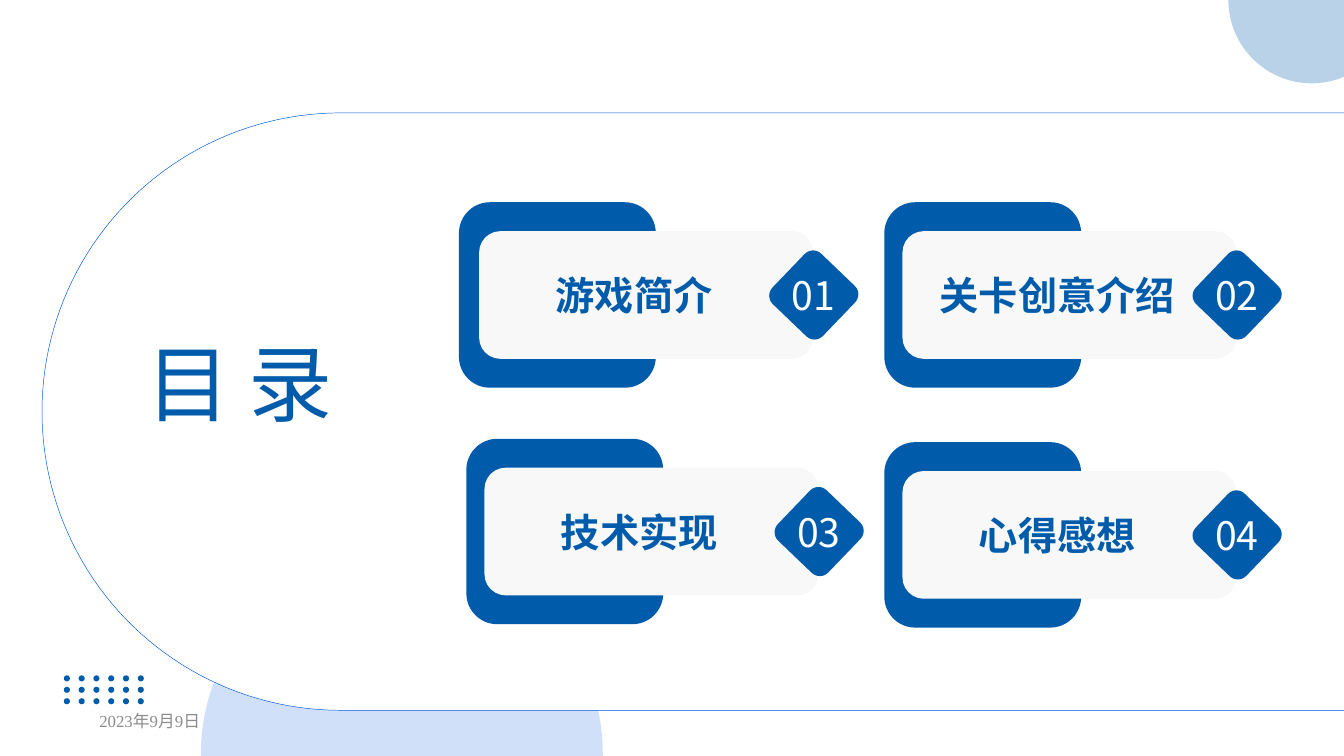
from math import cos, radians, sin
from lxml.etree import SubElement
from pptx import Presentation
from pptx.dml.color import RGBColor
from pptx.enum.shapes import MSO_SHAPE as SHAPE
from pptx.enum.text import MSO_ANCHOR as ANCHOR, MSO_AUTO_SIZE as AUTO, PP_ALIGN as ALIGN
from pptx.oxml.ns import qn
from pptx.util import Inches, Pt

# Content: number, title, left and top of the light card, left of the dark one
CARDS = [
    ("01", "游戏简介", 7.13, 3.44, 6.83),
    ("02", "关卡创意介绍", 13.43, 3.44, 13.16),
    ("03", "技术实现", 7.21, 6.96, 6.94),
    ("04", "心得感想", 13.43, 7.01, 13.16),
]
HEADING = "目 录"
DATE = "2023年9月9日"

W, H = 20, 11.25
SANS, SERIF = "Noto Sans CJK SC", "Times New Roman"
COLORS = {"navy": "005BAB", "blue": "0058E0", "card": "F8F8F8",
          "white": "FFFFFF", "grey": "8C8C8C"}

prs = Presentation()
prs.slide_width, prs.slide_height = Inches(W), Inches(H)
s = prs.slides.add_slide(prs.slide_layouts[6])


def color(name):
    return RGBColor.from_string(COLORS[name])


def paint(sp, fill, alpha=None, line=None):
    sp.shadow.inherit = False
    sp.fill.solid()
    sp.fill.fore_color.rgb = color(fill)
    if alpha:
        clr = sp.fill._xPr.find(qn("a:solidFill"))[0]
        SubElement(clr, qn("a:alpha")).set("val", str(alpha * 1000))
    if line:
        sp.line.color.rgb = color(line)
        sp.line.width = Pt(0.5)
    else:
        sp.line.fill.background()


def shape(kind, x, y, w, h, fill, turn=0):
    sp = s.shapes.add_shape(kind, Inches(x), Inches(y), Inches(w), Inches(h))
    sp.rotation = turn
    paint(sp, fill)


def arc(cx, cy, radius, start, end):
    """Points along a circle, from one angle to another, clockwise on screen."""
    step = 2 if end > start else -2
    return [(cx + radius * cos(radians(a)), cy + radius * sin(radians(a)))
            for a in range(start, end + step, step)]


def outline(points, fill, closed=True, **style):
    pts = [(Inches(x), Inches(y)) for x, y in points]
    fb = s.shapes.build_freeform(*pts[0])
    fb.add_line_segments(pts[1:], close=closed)
    paint(fb.convert_to_shape(), fill, **style)


def text(words, x, y, w, h, size, ink, font=SANS, bold=False, leading=None):
    tf = s.shapes.add_textbox(Inches(x), Inches(y), Inches(w), Inches(h)).text_frame
    tf.word_wrap = True
    tf.text = words
    p = tf.paragraphs[0]
    r = p.runs[0]
    r.font.size, r.font.bold, r.font.name = Pt(size), bold, font
    r.font.color.rgb = color(ink)
    if leading:
        tf.margin_left = tf.margin_right = tf.margin_top = tf.margin_bottom = 0
        tf.auto_size = AUTO.SHAPE_TO_FIT_TEXT
        p.alignment, p.line_spacing = ALIGN.CENTER, Pt(leading)
        SubElement(r.font._element, qn("a:ea")).set("typeface", font)
    else:
        tf.vertical_anchor = ANCHOR.MIDDLE


# Background: lower disc, panel open to the right, corner disc
outline([(2.99, H), *arc(5.98, 11.21, 2.99, 180, 360), (8.97, H)], "blue", alpha=18)
outline([(W, 1.68), *arc(5.07, 6.125, 4.445, 270, 90), (W, 10.57)], "white",
        closed=False, line="blue")
outline([*arc(19.52, 0, 1.24, 180, 68), (W, 1.15), (W, 0)], "navy", alpha=27)

# Grid of dots
for row in range(3):
    for col in range(6):
        shape(SHAPE.OVAL, 0.95 + 0.22 * col, 10.05 + 0.17 * row, 0.09, 0.09, "navy")

# Heading and date
text(HEADING, 1.52, 4.94, 4.09, 1.51, 90, "navy", leading=108)
text(DATE, 1.38, 10.43, 4.5, 0.6, 18, "grey", font=SERIF)

# Cards: dark back, light front, diamond with number, title
for number, title, x, y, back in CARDS:
    shape(SHAPE.ROUNDED_RECTANGLE, back, y - 0.43, 2.93, 2.76, "navy")
    shape(SHAPE.ROUNDED_RECTANGLE, x, y, 4.97, 1.9, "card")
    shape(SHAPE.ROUNDED_RECTANGLE, x + 4.46, y + 0.43, 1.04, 1.04, "navy", turn=43.8)
    text(number, x + 4.4, y + 0.6, 1.15, 0.7, 42, "white", leading=50.4)
    text(title, x + 0.27, y + 0.6, 4.07, 0.7, 42, "navy", bold=True, leading=50.4)

prs.save("out.pptx")
